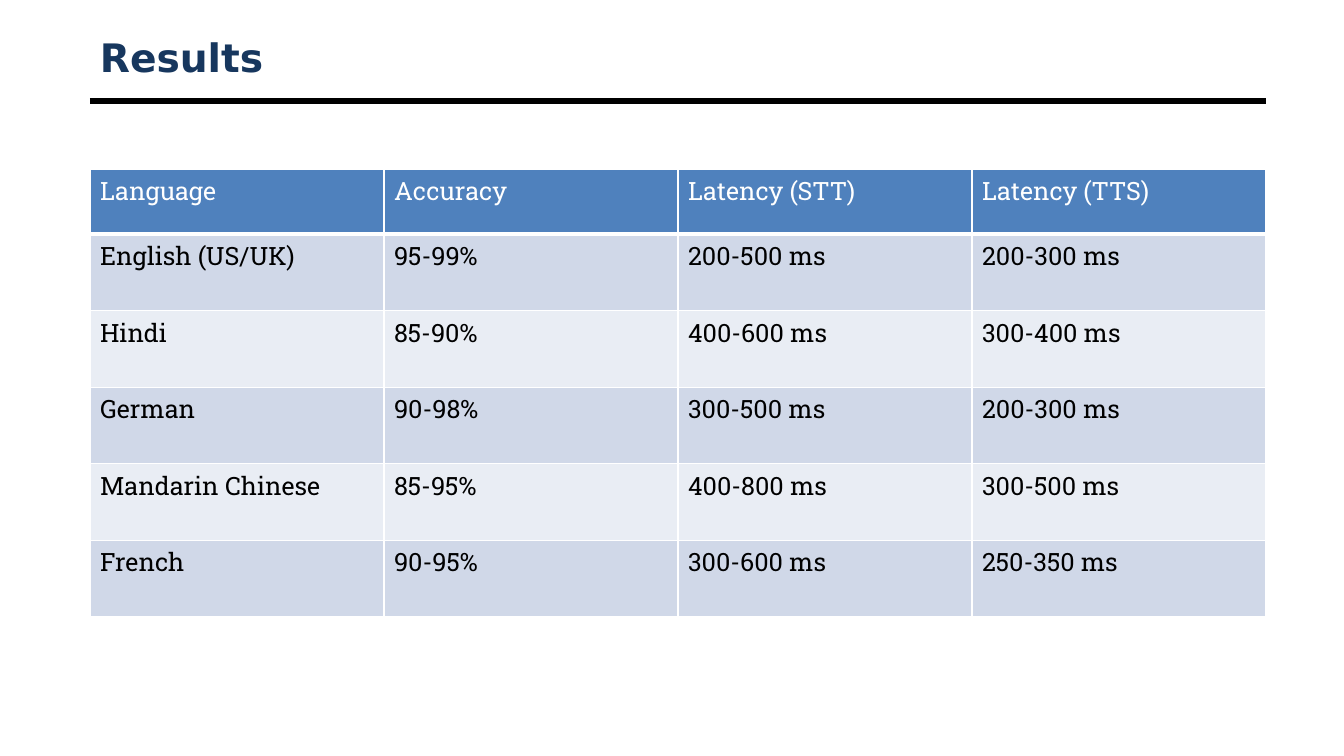
from lxml.etree import SubElement
from pptx import Presentation
from pptx.dml.color import RGBColor
from pptx.enum.shapes import MSO_CONNECTOR
from pptx.enum.text import MSO_ANCHOR
from pptx.oxml.ns import qn
from pptx.util import Emu, Pt

EMU_PER_INCH = 914400
PX_PER_INCH = 100.8
COLORS = {
    "title": "17375E",
    "rule": "000000",
    "header": "4F81BD",
    "odd_row": "D0D8E8",
    "even_row": "E9EDF4",
    "header_text": "FFFFFF",
    "body_text": "000000",
    "border": "FFFFFF",
}
TITLE_FONT = "DejaVu Sans"
TABLE_FONT = "Roboto Slab"
LEFT, WIDTH = 90, 1176
TABLE_TOP, TABLE_HEIGHT, HEADER_HEIGHT = 169, 448, 65
RESULTS = [
    ("Language", "Accuracy", "Latency (STT)", "Latency (TTS)"),
    ("English (US/UK)", "95-99%", "200-500 ms", "200-300 ms"),
    ("Hindi", "85-90%", "400-600 ms", "300-400 ms"),
    ("German", "90-98%", "300-500 ms", "200-300 ms"),
    ("Mandarin Chinese", "85-95%", "400-800 ms", "300-500 ms"),
    ("French", "90-95%", "300-600 ms", "250-350 ms"),
]


def px(length):
    return Emu(round(length * EMU_PER_INCH / PX_PER_INCH))


def color(name):
    return RGBColor.from_string(COLORS[name])


def write(text_frame, text, font_name, size, color_name, bold=False):
    text_frame.text = text
    font = text_frame.paragraphs[0].runs[0].font
    font.name = font_name
    font.size = Pt(size)
    font.bold = bold
    font.color.rgb = color(color_name)


def add_title(slide, text):
    title = slide.shapes.add_textbox(px(LEFT), px(30), px(WIDTH), px(53))
    title.text_frame.word_wrap = True
    title.text_frame.vertical_anchor = MSO_ANCHOR.MIDDLE
    write(title.text_frame, text, TITLE_FONT, 28, "title", bold=True)


def add_rule(slide, y):
    rule = slide.shapes.add_connector(
        MSO_CONNECTOR.STRAIGHT, px(LEFT), px(y), px(LEFT + WIDTH), px(y)
    )
    rule.line.color.rgb = color("rule")
    rule.line.width = Pt(4.5)
    SubElement(rule.element.spPr, qn("a:effectLst"))


def set_borders(cell, top, bottom):
    properties = cell._tc.get_or_add_tcPr()
    for side, width in (("L", 1), ("R", 1), ("T", top), ("B", bottom)):
        border = SubElement(properties, qn(f"a:ln{side}"), w=str(Pt(width)))
        fill = SubElement(border, qn("a:solidFill"))
        SubElement(fill, qn("a:srgbClr"), val=COLORS["border"])


def style_cell(cell, text, row):
    set_borders(cell, top=3 if row == 1 else 1, bottom=3 if row == 0 else 1)
    if row == 0:
        fill_name, text_color = "header", "header_text"
    else:
        fill_name = "odd_row" if row % 2 else "even_row"
        text_color = "body_text"
    cell.fill.solid()
    cell.fill.fore_color.rgb = color(fill_name)
    write(cell.text_frame, text, TABLE_FONT, 18, text_color)


def add_results(slide, results):
    table = slide.shapes.add_table(
        len(results), len(results[0]),
        px(LEFT), px(TABLE_TOP), px(WIDTH), px(TABLE_HEIGHT),
    ).table
    body_height = (TABLE_HEIGHT - HEADER_HEIGHT) / (len(results) - 1)
    for row, values in enumerate(results):
        table.rows[row].height = px(body_height if row else HEADER_HEIGHT)
        for column, value in enumerate(values):
            style_cell(table.cell(row, column), value, row)


def main():
    presentation = Presentation()
    presentation.slide_width = px(1344)
    presentation.slide_height = px(756)
    slide = presentation.slides.add_slide(presentation.slide_layouts[6])
    add_rule(slide, 101)
    add_title(slide, "Results")
    add_results(slide, RESULTS)
    presentation.save("out.pptx")


if __name__ == "__main__":
    main()
